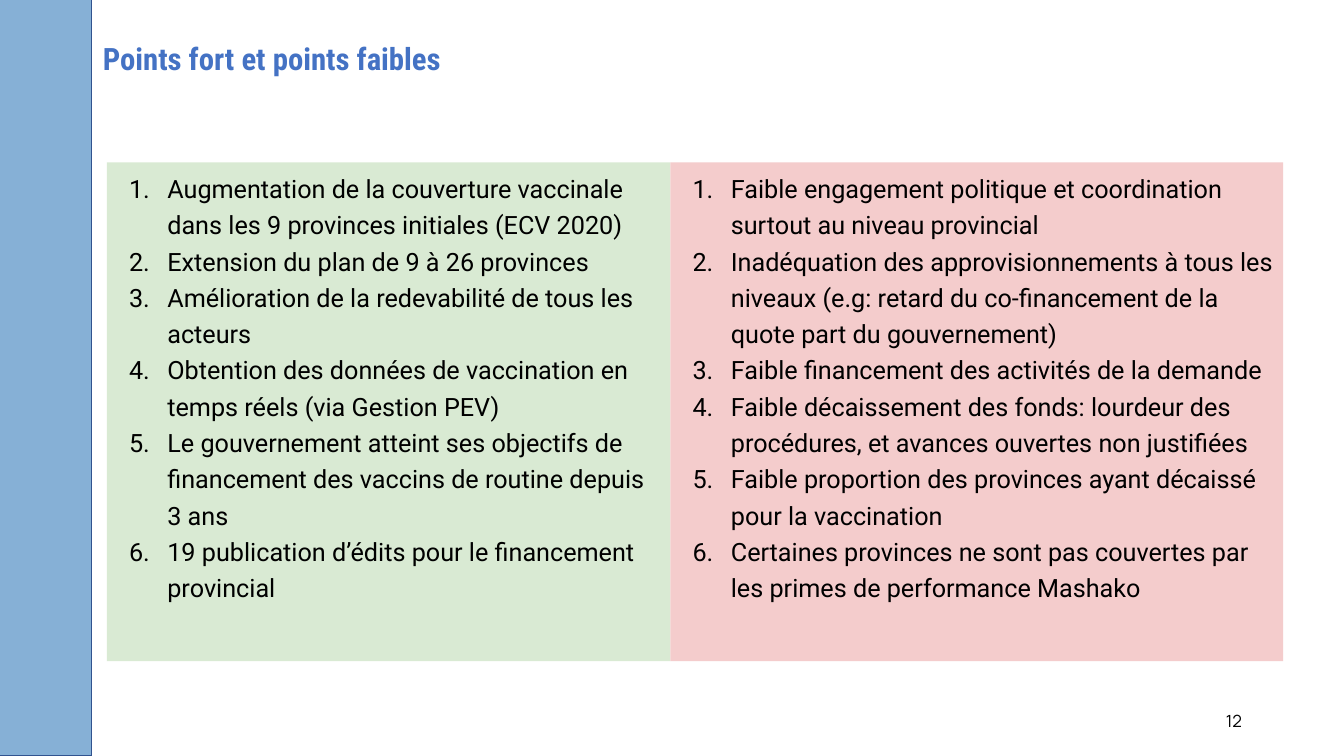
"""Build the slide that sets strengths against weaknesses."""
from dataclasses import dataclass

from lxml import etree
from pptx import Presentation
from pptx.dml.color import RGBColor
from pptx.enum.shapes import MSO_SHAPE
from pptx.enum.text import MSO_ANCHOR, MSO_AUTO_SIZE, PP_ALIGN
from pptx.oxml.ns import qn
from pptx.slide import Slide
from pptx.text.text import TextFrame
from pptx.util import Inches, Pt

RECTANGLE = MSO_SHAPE.RECTANGLE
TOP, MIDDLE = MSO_ANCHOR.TOP, MSO_ANCHOR.MIDDLE
NO_AUTOFIT = MSO_AUTO_SIZE.NONE
LEFT, RIGHT = PP_ALIGN.LEFT, PP_ALIGN.RIGHT

WHITE = RGBColor(0xFF, 0xFF, 0xFF)
BLACK = RGBColor(0x00, 0x00, 0x00)
TITLE_BLUE = RGBColor(0x44, 0x72, 0xC4)
SIDEBAR_BLUE = RGBColor(0x86, 0xB0, 0xD6)
SIDEBAR_EDGE = RGBColor(0x31, 0x53, 0x8F)
STRENGTH_GREEN = RGBColor(0xD9, 0xEA, 0xD3)
WEAKNESS_RED = RGBColor(0xF4, 0xCC, 0xCC)

SLIDE_WIDTH, SLIDE_HEIGHT = Inches(13.33), Inches(7.5)
COLUMN, ROW = SLIDE_WIDTH / 100, SLIDE_HEIGHT / 100
TWO_CONTENT_LAYOUT = 3


@dataclass(frozen=True)
class Area:
    """A place on the grid of 100 columns by 100 rows."""
    column: float
    row: float
    columns: float
    rows: float

    def box(self) -> tuple[int, int, int, int]:
        """Return left, top, width and height in EMU."""
        return (round(self.column * COLUMN), round(self.row * ROW),
                round(self.columns * COLUMN), round(self.rows * ROW))


@dataclass(frozen=True)
class Panel:
    """A coloured panel holding a numbered list."""
    placeholder: int
    column: float
    columns: float
    fill: RGBColor
    points: tuple[str, ...]


PANEL_ROW, PANEL_ROWS = 21.47, 66
PANELS_LEFT, PANELS_SPLIT, PANELS_RIGHT = 7.95, 49.88, 95.48
SIDEBAR = Area(-0.38, -0.27, 7.2, 100.27)
TITLE = Area(6.9, -0.13, 86.25, 16.4)
PAGE_NUMBER = Area(70.65, 92.67, 22.5, 5.33)

PANELS = (
    Panel(1, PANELS_LEFT, PANELS_SPLIT - PANELS_LEFT, STRENGTH_GREEN, (
        "Augmentation de la couverture vaccinale dans les 9 provinces initiales (ECV 2020)",
        "Extension du plan de 9 à 26 provinces",
        "Amélioration de la redevabilité de tous les acteurs",
        "Obtention des données de vaccination en temps réels (via Gestion PEV)",
        "Le gouvernement atteint ses objectifs de financement des vaccins de routine depuis 3 ans",
        "19 publication d’édits pour le financement provincial",
    )),
    Panel(2, PANELS_SPLIT, PANELS_RIGHT - PANELS_SPLIT, WEAKNESS_RED, (
        "Faible engagement politique et coordination surtout au niveau provincial",
        "Inadéquation des approvisionnements à tous les niveaux (e.g: retard du "
        "co-financement de la quote part du gouvernement)",
        "Faible financement des activités de la demande",
        "Faible décaissement des fonds: lourdeur des procédures, et avances ouvertes non justifiées",
        "Faible proportion des provinces ayant décaissé pour la vaccination",
        "Certaines provinces ne sont pas couvertes par les primes de performance Mashako",
    )),
)


def write(frame: TextFrame, lines: tuple[str, ...], font: str, size: int, color: RGBColor, *,
          bold: bool = False, align: PP_ALIGN = LEFT, anchor: MSO_ANCHOR = MIDDLE,
          spacing: float = 1.0, numbered: bool = False) -> None:
    """Fill a text frame with evenly formatted paragraphs."""
    frame.word_wrap = True
    frame.auto_size = NO_AUTOFIT
    frame.vertical_anchor = anchor
    frame.text = "\n".join(lines)
    for paragraph in frame.paragraphs:
        paragraph.alignment = align
        paragraph.line_spacing = spacing
        paragraph.space_before = Pt(0)
        if numbered:
            number(paragraph._p.get_or_add_pPr())
        paragraph.font.name = font
        paragraph.font.size = Pt(size)
        paragraph.font.bold = bold
        paragraph.font.color.rgb = color


def number(properties: etree._Element) -> None:
    """Give a paragraph a hanging black number."""
    properties.set("marL", str(Inches(0.5)))
    properties.set("indent", str(Inches(-0.38)))
    number_color = etree.SubElement(properties, qn("a:buClr"))
    etree.SubElement(number_color, qn("a:srgbClr"), val=str(BLACK))
    etree.SubElement(properties, qn("a:buFont"), typeface="Roboto")
    etree.SubElement(properties, qn("a:buAutoNum"), type="arabicPeriod")


def add_sidebar(slide: Slide) -> None:
    """Draw the blue band along the left edge."""
    sidebar = slide.shapes.add_shape(RECTANGLE, *SIDEBAR.box())
    sidebar.shadow.inherit = False
    sidebar.fill.solid()
    sidebar.fill.fore_color.rgb = SIDEBAR_BLUE
    sidebar.line.color.rgb = SIDEBAR_EDGE
    sidebar.line.width = Pt(1)


def add_title(slide: Slide) -> None:
    """Place and write the slide title."""
    title = slide.shapes.title
    title.left, title.top, title.width, title.height = TITLE.box()
    write(title.text_frame, ("Points fort et points faibles",), "Roboto Condensed", 22,
          TITLE_BLUE, bold=True, spacing=0.9)


def add_panel(slide: Slide, panel: Panel) -> None:
    """Place, colour and write one numbered list."""
    body = slide.placeholders[panel.placeholder]
    area = Area(panel.column, PANEL_ROW, panel.columns, PANEL_ROWS)
    body.left, body.top, body.width, body.height = area.box()
    body.fill.solid()
    body.fill.fore_color.rgb = panel.fill
    write(body.text_frame, panel.points, "Roboto", 18, BLACK,
          anchor=TOP, spacing=1.2, numbered=True)


def add_page_number(slide: Slide) -> None:
    """Write the page number at the bottom right."""
    page_number = slide.shapes.add_textbox(*PAGE_NUMBER.box())
    write(page_number.text_frame, ("12",), "Manrope", 12, BLACK, align=RIGHT)


def main() -> None:
    """Build and save the presentation."""
    presentation = Presentation()
    presentation.slide_width, presentation.slide_height = SLIDE_WIDTH, SLIDE_HEIGHT
    slide = presentation.slides.add_slide(presentation.slide_layouts[TWO_CONTENT_LAYOUT])
    slide.background.fill.solid()
    slide.background.fill.fore_color.rgb = WHITE
    add_sidebar(slide)
    add_title(slide)
    for panel in PANELS:
        add_panel(slide, panel)
    add_page_number(slide)
    presentation.save("out.pptx")


if __name__ == "__main__":
    main()
